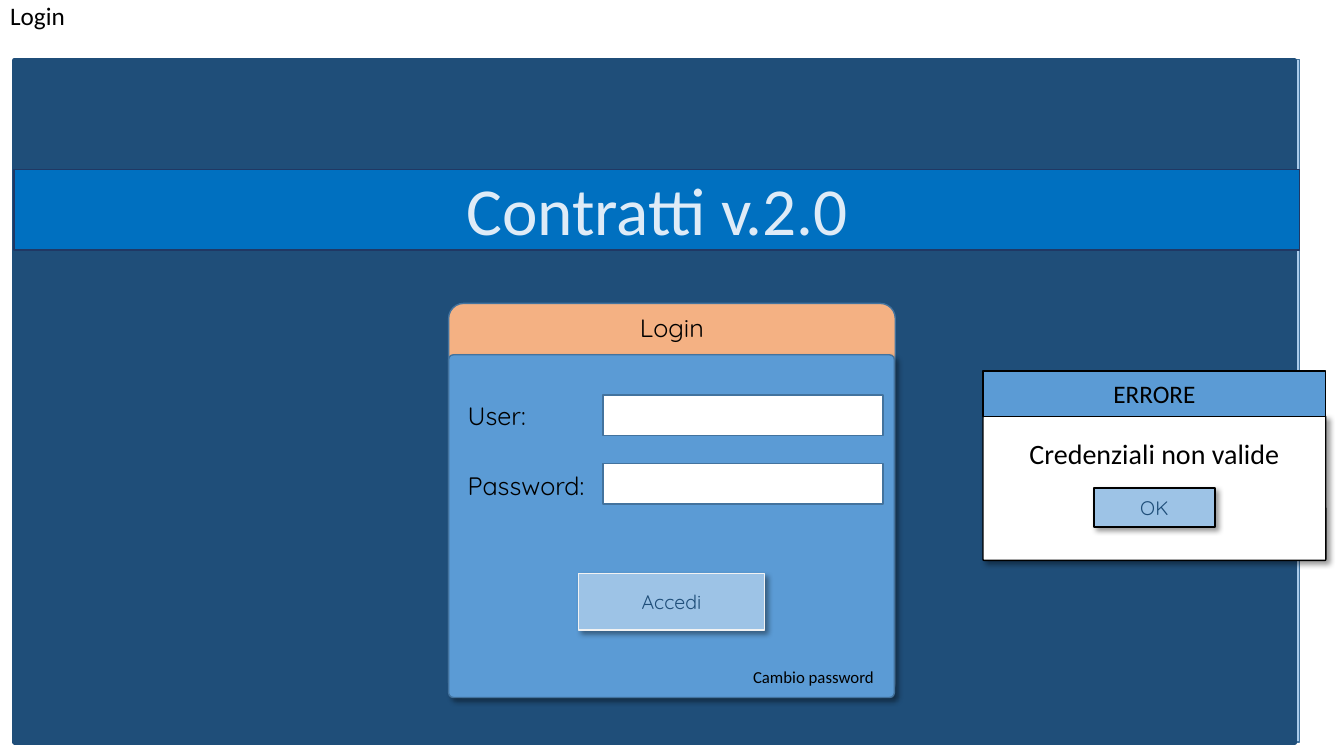
import pptx
import pptx.util
import pptx.dml.color
import pptx.enum.shapes
import pptx.enum.text
import pptx.oxml
import pptx.oxml.ns
from dataclasses import dataclass
from lxml import etree

Inches, Pt = pptx.util.Inches, pptx.util.Pt
RGB = pptx.dml.color.RGBColor.from_string
SHAPE = pptx.enum.shapes.MSO_SHAPE
ALIGN = pptx.enum.text.PP_ALIGN
ANCHOR = pptx.enum.text.MSO_ANCHOR
qn = pptx.oxml.ns.qn

SHADOW = (
    '<a:effectLst xmlns:a="http://schemas.openxmlformats.org/drawingml/2006/main">'
    '<a:outerShdw blurRad="50800" dist="38100" dir="2700000" algn="tl" rotWithShape="0">'
    '<a:srgbClr val="000000"><a:alpha val="40000"/></a:srgbClr>'
    '</a:outerShdw></a:effectLst>'
)


@dataclass(frozen=True)
class Theme:
    navy: str = "1F4E79"
    blue: str = "5B9BD5"
    outline: str = "43739E"
    band: str = "0070C0"
    band_edge: str = "203864"
    pale_text: str = "DEEBF7"
    button: str = "9DC3E6"
    button_edge: str = "F2F2F2"
    peach: str = "F4B183"
    white: str = "FFFFFF"
    black: str = "000000"
    plain: str = "Calibri"
    rounded: str = "Quicksand"
    banner: int = 48
    message: int = 20
    body: int = 18
    action: int = 14
    small: int = 12


class Mockup:
    def __init__(self, slide, theme):
        self.slide = slide
        self.theme = theme

    def set_words(self, frame, words, size, font, color=None, align=None):
        frame.text = words
        paragraph = frame.paragraphs[0]
        paragraph.alignment = align
        style = paragraph.runs[0].font
        style.size, style.name, style.bold = Pt(size), font, False
        style.color.rgb = RGB(color or self.theme.black)

    def title(self, words, left, top, width, height):
        heading = self.slide.shapes.title
        heading.left, heading.top = Inches(left), Inches(top)
        heading.width, heading.height = Inches(width), Inches(height)
        frame = heading.text_frame
        frame.vertical_anchor = ANCHOR.MIDDLE
        self.set_words(frame, words, self.theme.body, self.theme.plain, align=ALIGN.LEFT)
        frame.paragraphs[0].line_spacing = 0.9

    def panel(self, left, top, width, height, fill, edge, weight=1,
              radius=None, shadow=False, opacity=None):
        kind = SHAPE.RECTANGLE if radius is None else SHAPE.ROUNDED_RECTANGLE
        panel = self.slide.shapes.add_shape(
            kind, Inches(left), Inches(top), Inches(width), Inches(height))
        if radius is not None:
            panel.adjustments[0] = radius
        panel.fill.solid()
        panel.fill.fore_color.rgb = RGB(fill)
        panel.line.color.rgb = RGB(edge)
        panel.line.width = Pt(weight)
        panel.shadow.inherit = False
        properties = panel._element.spPr
        if shadow:
            plain_effects = properties.find(qn("a:effectLst"))
            properties.replace(plain_effects, pptx.oxml.parse_xml(SHADOW))
        if opacity is not None:
            color = properties.find(qn("a:solidFill")).find(qn("a:srgbClr"))
            etree.SubElement(color, qn("a:alpha")).set("val", str(opacity * 1000))
        return panel

    def caption(self, panel, words, size, font, color=None, top_margin=None):
        """Centre words in a panel, or hang them from its top edge by top_margin."""
        frame = panel.text_frame
        frame.vertical_anchor = ANCHOR.MIDDLE
        if top_margin is not None:
            frame.vertical_anchor = ANCHOR.TOP
            frame.margin_top = Inches(top_margin)
        self.set_words(frame, words, size, font, color, ALIGN.CENTER)

    def button(self, words, left, top, width, height, edge):
        key = self.panel(left, top, width, height, self.theme.button, edge, shadow=True)
        self.caption(key, words, self.theme.action, self.theme.rounded, self.theme.navy)

    def label(self, words, left, top, width, height, size, font, color=None, align=None):
        frame = self.slide.shapes.add_textbox(
            Inches(left), Inches(top), Inches(width), Inches(height)).text_frame
        frame.word_wrap = True
        frame.auto_size = pptx.enum.text.MSO_AUTO_SIZE.SHAPE_TO_FIT_TEXT
        self.set_words(frame, words, size, font, color, align)

    def field(self, words, label_top, label_width, input_top):
        self.label(words, 4.54, label_top, label_width, 0.4,
                   self.theme.body, self.theme.rounded)
        self.panel(5.98, input_top, 2.78, 0.4, self.theme.white, self.theme.outline)


def draw_login(page):
    t = page.theme
    header = page.panel(4.45, 3.01, 4.43, 3.91, t.peach, t.outline, radius=0.038)
    page.caption(header, "Login", t.body, t.rounded, top_margin=0.05)
    page.panel(4.45, 3.52, 4.42, 3.4, t.blue, t.outline, radius=0.014, shadow=True)
    page.field("User:", 3.92, 0.85, 3.92)
    page.field("Password:", 4.62, 1.44, 4.6)
    page.button("Accedi", 5.74, 5.69, 1.84, 0.56, t.button_edge)


def draw_error(page):
    t = page.theme
    message = page.panel(9.75, 4.13, 3.4, 1.43, t.white, t.black, radius=0.007, shadow=True)
    page.caption(message, "Credenziali non valide", t.message, t.plain, top_margin=0.2)
    page.button("OK", 10.85, 4.84, 1.2, 0.39, t.black)
    heading = page.panel(9.75, 3.68, 3.4, 0.45, t.blue, t.black)
    page.caption(heading, "ERRORE", t.body, t.plain)


def main():
    deck = pptx.Presentation()
    deck.slide_width, deck.slide_height = Inches(13.33), Inches(7.5)
    page = Mockup(deck.slides.add_slide(deck.slide_layouts[5]), Theme())
    t = page.theme

    page.title("Login", 0, 0, 1.56, 0.35)
    page.panel(0.16, 0.59, 12.73, 6.77, t.blue, t.outline, opacity=52)
    page.panel(0.14, 0.6, 12.7, 6.77, t.navy, t.navy, weight=3)
    draw_login(page)
    page.panel(0.14, 1.68, 12.75, 0.8, t.band, t.band_edge)
    page.label("Contratti v.2.0", 1.07, 1.62, 10.9, 0.91,
               t.banner, t.plain, t.pale_text, ALIGN.CENTER)
    draw_error(page)
    page.label("Cambio password", 7.37, 6.57, 1.55, 0.3, t.small, t.plain)
    deck.save("out.pptx")


if __name__ == "__main__":
    main()
